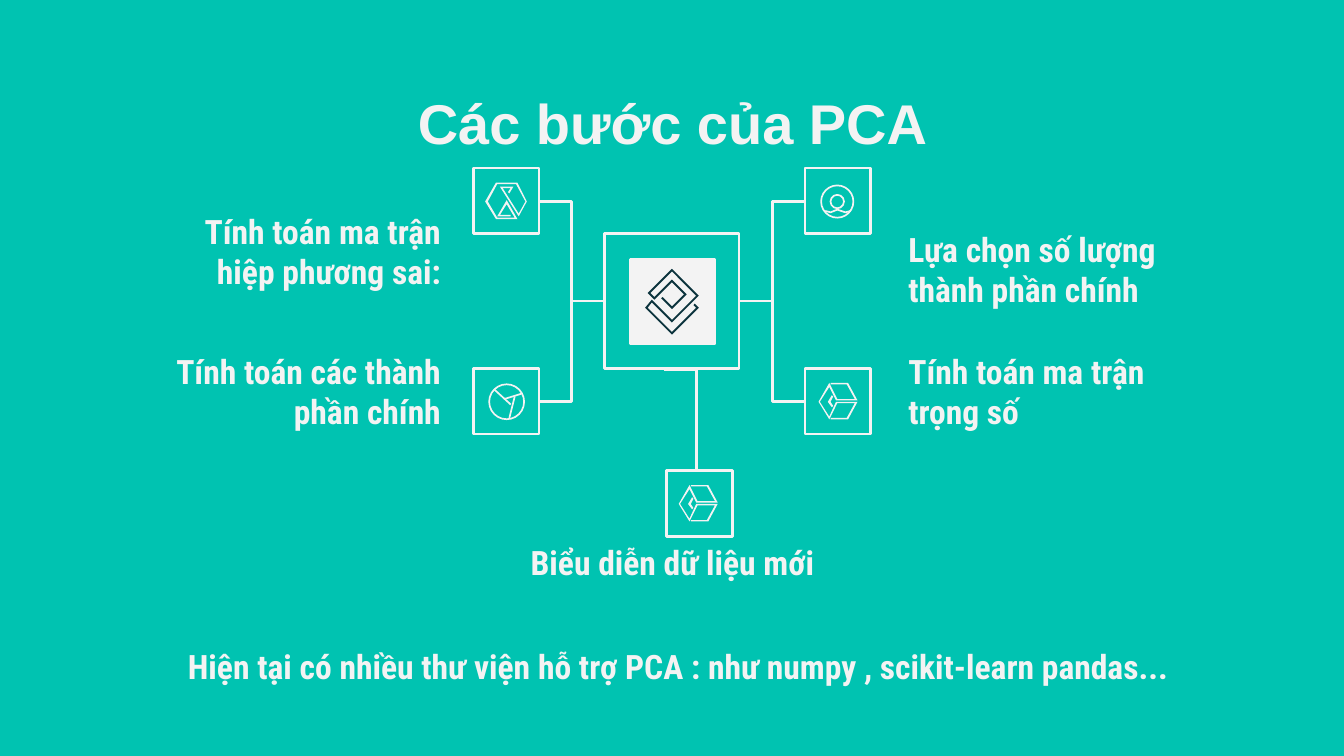
from pptx import Presentation
from pptx.dml.color import RGBColor
from pptx.enum.shapes import MSO_CONNECTOR, MSO_SHAPE
from pptx.enum.text import MSO_ANCHOR, MSO_AUTO_SIZE, PP_ALIGN
from pptx.oxml.ns import qn
from pptx.util import Inches, Pt
from lxml import etree

TEAL = RGBColor(0x00, 0xC3, 0xB1)
PALE = RGBColor(0xF3, 0xF3, 0xF3)
NAVY = RGBColor(0x0C, 0x34, 0x3D)


def write_text(box, text, font="Roboto Condensed", size=18, align=PP_ALIGN.LEFT,
               anchor=MSO_ANCHOR.TOP, after=16):
    frame = box.text_frame
    frame.word_wrap = True
    frame.auto_size = MSO_AUTO_SIZE.NONE
    frame.vertical_anchor = anchor
    frame.margin_left = frame.margin_right = Inches(0.1)
    frame.margin_top = frame.margin_bottom = Inches(0.1)
    para = frame.paragraphs[0]
    para.alignment = align
    para.space_after = Pt(after)
    span = para.add_run()
    span.text = text
    span.font.name = font
    span.font.size = Pt(size)
    span.font.bold = True
    span.font.color.rgb = PALE


def paint(shape, fill=None, line=None, width=1.5):
    shape.shadow.inherit = False
    if fill is None:
        shape.fill.background()
    else:
        shape.fill.solid()
        shape.fill.fore_color.rgb = fill
    if line is None:
        shape.line.fill.background()
    else:
        shape.line.color.rgb = line
        shape.line.width = Pt(width)


# A 16:9 page
deck = Presentation()
deck.slide_width = Inches(10)
deck.slide_height = Inches(10) * 9 // 16
page = deck.slides.add_slide(deck.slide_layouts[5])
page.background.fill.solid()
page.background.fill.fore_color.rgb = TEAL
shapes = page.shapes

# Title
title = shapes.title
title.left, title.top = Inches(0.79), Inches(0.56)
title.width, title.height = Inches(8.43), Inches(0.63)
write_text(title, "Các bước của PCA", font="Arial", size=30,
           align=PP_ALIGN.CENTER, after=0)

# Centre frame and tile, then the five step frames
STEP = 0.49
frames = [(4.5, 1.74, 1, None), (4.69, 1.93, 0.63, PALE)]
frames += [(x, y, STEP, None) for x in (3.52, 5.99) for y in (1.25, 2.74)]
frames.append((4.96, 3.5, STEP, None))
for x, y, side, fill in frames:
    square = shapes.add_shape(MSO_SHAPE.RECTANGLE, Inches(x), Inches(y),
                              Inches(side), Inches(side))
    paint(square, fill=fill, line=PALE)

# Elbow connectors from the centre to the steps
links = [(hub, 2.24, step, y) for hub, step in ((4.5, 4.01), (5.5, 5.99))
         for y in (1.5, 2.99)]
links.append((4.94, 2.75, 5.43, 3.5))
for x1, y1, x2, y2 in links:
    link = shapes.add_connector(MSO_CONNECTOR.ELBOW, Inches(x1), Inches(y1),
                                Inches(x2), Inches(y2))
    link.line.color.rgb = PALE
    link.line.width = Pt(1.5)
    etree.SubElement(link._element.spPr, qn("a:effectLst"))

# Filled icon outlines: centre spiral, hexagon and two cubes
spiral = [(5, 2), (4.82, 2.18), (4.87, 2.23), (5, 2.1), (5.09, 2.19), (5, 2.28),
          (4.93, 2.21), (4.92, 2.22), (5, 2.3), (5.11, 2.19), (5, 2.08),
          (4.87, 2.21), (4.84, 2.18), (5, 2.02), (5.18, 2.2), (5, 2.38),
          (4.85, 2.23), (4.8, 2.29), (5, 2.49), (5.2, 2.29), (5.17, 2.26),
          (5.16, 2.27), (5.18, 2.29), (5, 2.47), (4.82, 2.29), (4.85, 2.25),
          (5, 2.4), (5.2, 2.2)]
hexagon = [(3.69, 1.36), (3.61, 1.5), (3.69, 1.63), (3.85, 1.63), (3.77, 1.49),
           (3.7, 1.61), (3.8, 1.61), (3.8, 1.6), (3.72, 1.6), (3.77, 1.52),
           (3.83, 1.62), (3.7, 1.62), (3.63, 1.5), (3.7, 1.37), (3.84, 1.37),
           (3.91, 1.5), (3.86, 1.59), (3.74, 1.4), (3.8, 1.4), (3.78, 1.43),
           (3.79, 1.44), (3.82, 1.39), (3.72, 1.39), (3.86, 1.61), (3.92, 1.5),
           (3.85, 1.36)]
cube = [(6.31, 2.85), (6.18, 2.85), (6.18, 2.86), (6.3, 2.86), (6.36, 2.97),
        (6.23, 2.97), (6.17, 2.85), (6.09, 2.99), (6.17, 3.12), (6.23, 3),
        (6.36, 3), (6.3, 3.11), (6.18, 3.11), (6.18, 3.12), (6.31, 3.12),
        (6.38, 2.99), (6.22, 2.99), (6.17, 3.1), (6.1, 2.99), (6.17, 2.88),
        (6.22, 2.98), (6.38, 2.98)]
cube_notch = [(6.19, 2.94), (6.16, 2.99), (6.19, 3.03), (6.2, 3.02),
              (6.18, 2.99), (6.2, 2.95)]
outlines = [(spiral, NAVY, None), (hexagon, PALE, None)]
for dx, dy in ((0, 0), (-1.04, 0.76)):
    for part in (cube, cube_notch):
        outlines.append(([(x + dx, y + dy) for x, y in part], PALE, None))

# Round icons: circles, then the open strokes inside them
for x, y, radius in ((6.23, 1.5, 0.12), (6.23, 1.5, 0.05), (3.77, 2.99, 0.13)):
    circle = shapes.add_shape(MSO_SHAPE.OVAL, Inches(x - radius), Inches(y - radius),
                              Inches(2 * radius), Inches(2 * radius))
    paint(circle, line=PALE, width=0.9)
strokes = [
    [(6.14, 1.57), (6.18, 1.58), (6.23, 1.56), (6.29, 1.58), (6.33, 1.57)],
    [(3.68, 2.9), (3.8, 3.01)],
    [(3.75, 2.97), (3.88, 2.93)],
    [(3.83, 2.95), (3.79, 3.11)],
]
outlines += [(points, None, PALE) for points in strokes]
for points, fill, line in outlines:
    corners = [(Inches(x), Inches(y)) for x, y in points]
    builder = shapes.build_freeform(*corners[0])
    builder.add_line_segments(corners[1:], close=line is None)
    paint(builder.convert_to_shape(), fill=fill, line=line, width=0.9)

# Step labels and closing note
RIGHT, LEFT = PP_ALIGN.RIGHT, PP_ALIGN.LEFT
TOP, MIDDLE = MSO_ANCHOR.TOP, MSO_ANCHOR.MIDDLE
labels = [
    ("Tính toán ma trận hiệp phương sai:", 0.94, 1.67, 2.44, 0.4, RIGHT, MIDDLE),
    ("Lựa chọn số lượng thành phần chính", 6.66, 1.8, 2.4, 0.4, LEFT, MIDDLE),
    ("Tính toán các thành phần chính", 0.94, 2.51, 2.44, 0.4, RIGHT, TOP),
    ("Tính toán ma trận trọng số", 6.66, 2.51, 2.4, 0.4, LEFT, TOP),
    ("Biểu diễn dữ liệu mới", 3.85, 3.93, 2.4, 0.56, LEFT, TOP),
    ("Hiện tại có nhiều thư viện hỗ trợ PCA : như numpy , scikit-learn pandas...",
     1.3, 4.71, 8.07, 0.56, LEFT, TOP),
]
for text, x, y, width, height, align, anchor in labels:
    box = shapes.add_textbox(Inches(x), Inches(y), Inches(width), Inches(height))
    write_text(box, text, align=align, anchor=anchor)

deck.save("out.pptx")
